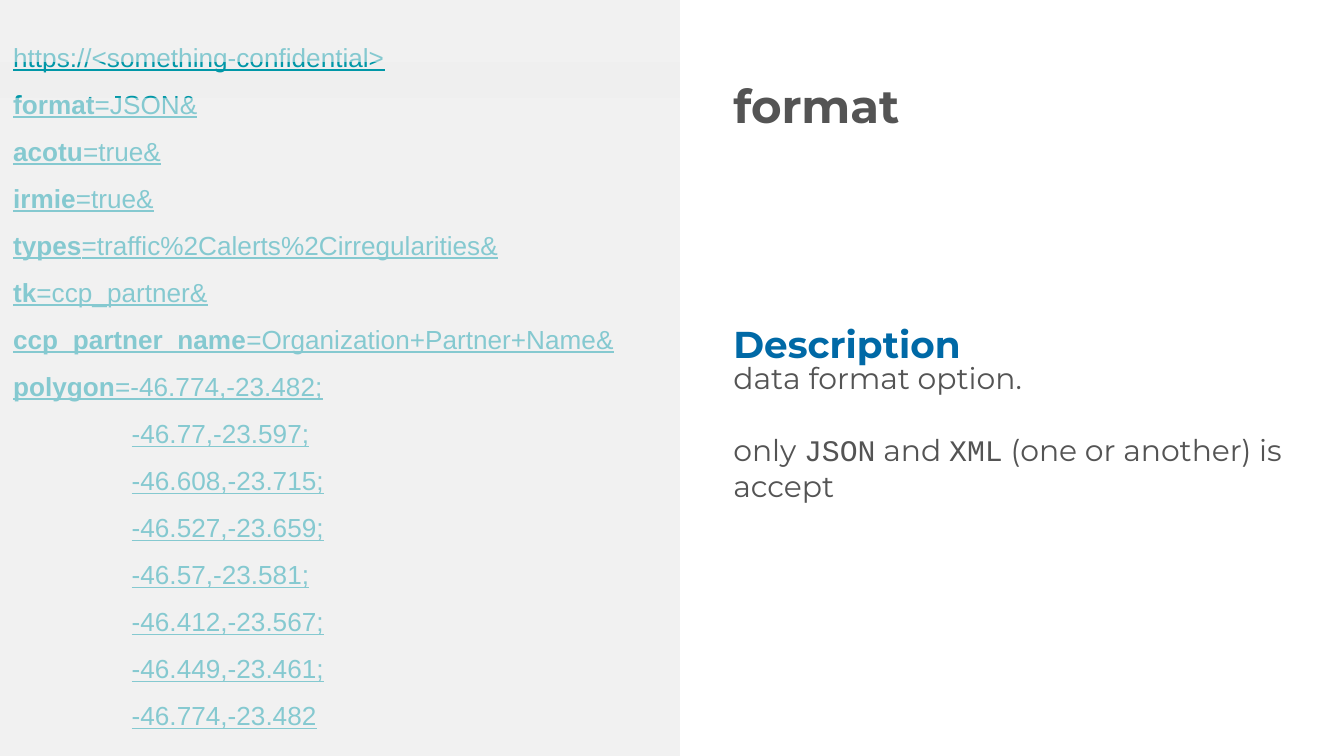
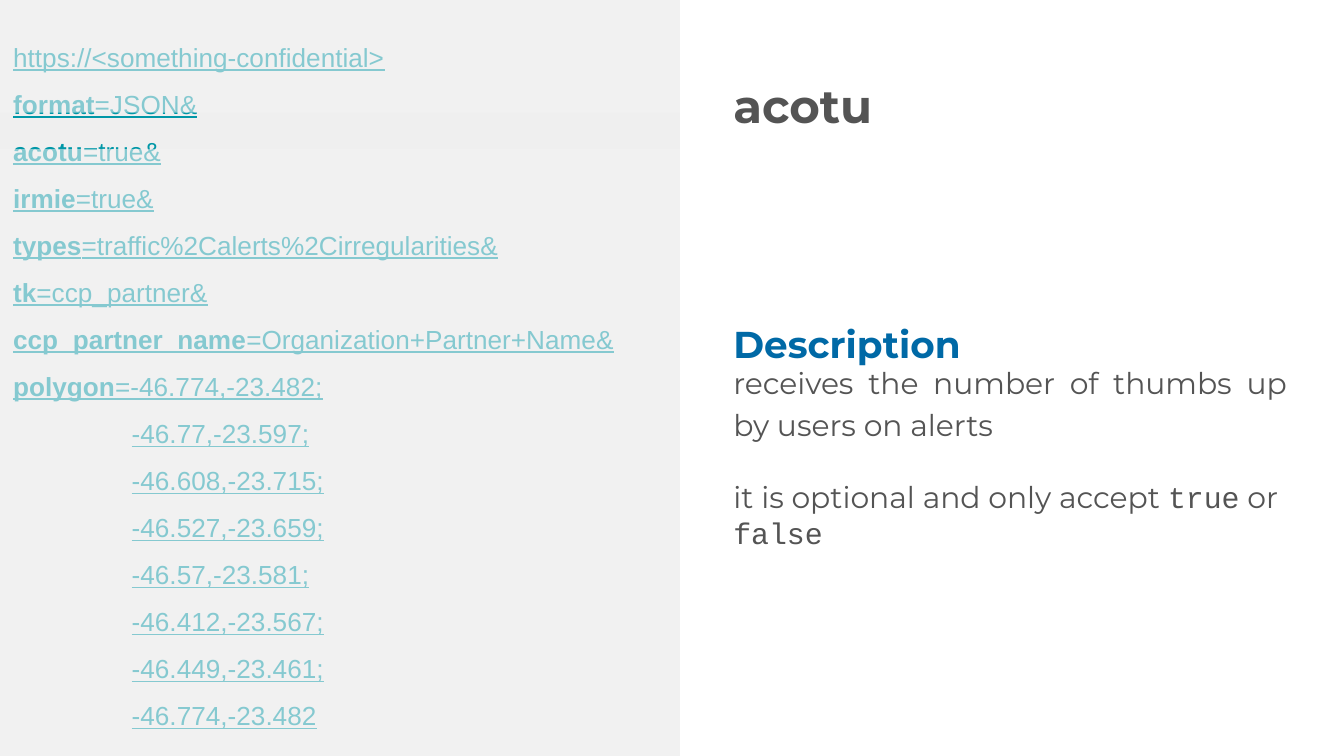
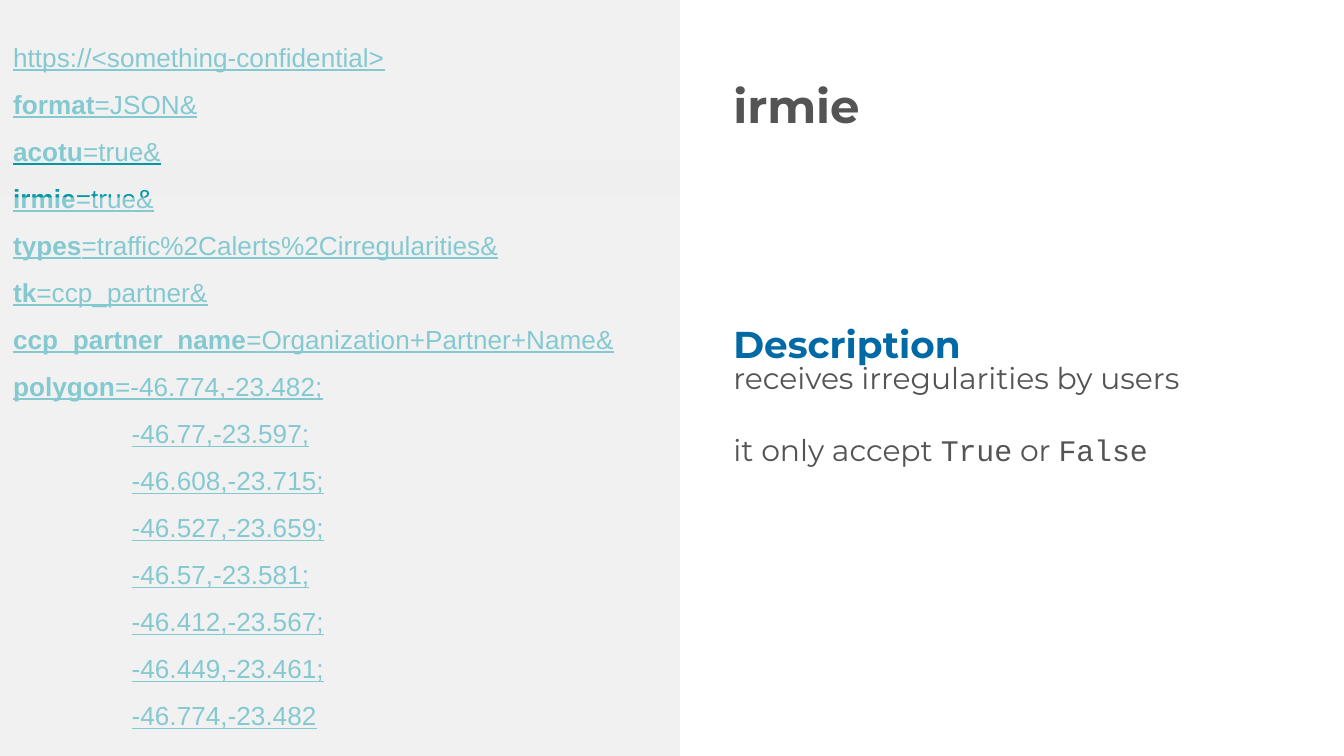
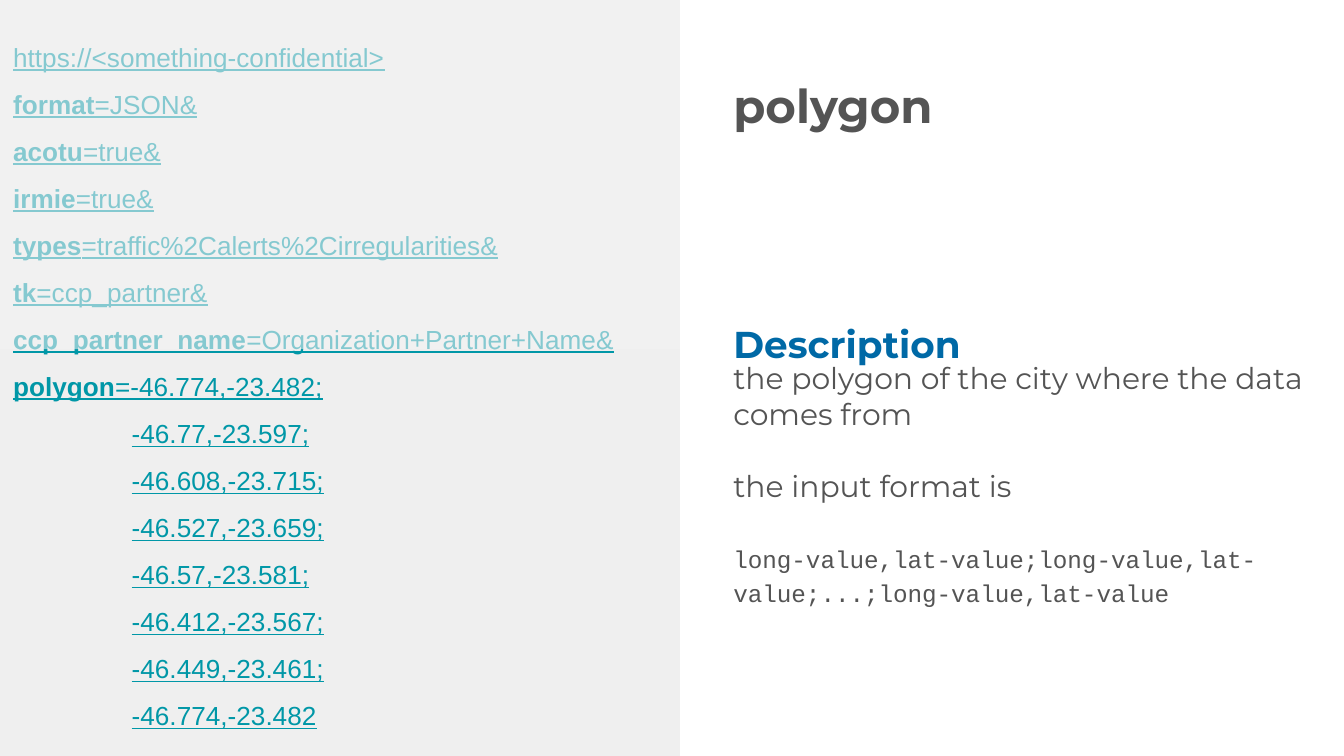
from dataclasses import dataclass

from lxml import etree
from pptx import Presentation
from pptx import util as u
from pptx.dml.color import RGBColor
from pptx.enum import shapes, text
from pptx.oxml import ns

PANEL_GREY = RGBColor(0xEF, 0xEF, 0xEF)
VEIL_GREY = RGBColor(0xF3, 0xF3, 0xF3)
LINK_TEAL = RGBColor(0x00, 0x97, 0xA7)
TEXT_GREY = RGBColor(0x54, 0x54, 0x54)
HEADING_BLUE = RGBColor(0x00, 0x69, 0xA6)

PROSE_FONT = "Montserrat"
CODE_FONT = "Courier New"
LINK_FONT = "Arial"

SLIDE_WIDTH, SLIDE_HEIGHT = 25.4, 14.29
PANEL_WIDTH = 12.85
COLUMN_LEFT = 13.61
INSET = u.Cm(0.25)
COORDINATE_INDENT = u.Cm(2.24)
VEIL_OPACITY = 55
BLANK_LINE = u.Pt(19.5)

URL = "https://<something-confidential>"
PARAMETERS = [
    ("format", "JSON&"),
    ("acotu", "true&"),
    ("irmie", "true&"),
    ("types", "traffic%2Calerts%2Cirregularities&"),
    ("tk", "ccp_partner&"),
    ("ccp_partner_name", "Organization+Partner+Name&"),
    ("polygon", "-46.774,-23.482;"),
]
COORDINATES = [
    "-46.77,-23.597;", "-46.608,-23.715;", "-46.527,-23.659;", "-46.57,-23.581;",
    "-46.412,-23.567;", "-46.449,-23.461;", "-46.774,-23.482",
]


@dataclass
class Remark:
    """A description paragraph; its pieces alternate between prose and code."""
    pieces: tuple
    size: float = 16
    line_spacing: float = 1.0
    justified: bool = False


@dataclass
class Topic:
    """A parameter, the vertical span left unveiled in the request, and its remarks."""
    name: str
    span: tuple
    remarks: list
    body_width: float = 10.97


TOPICS = [
    Topic("format", (1.17, 1.85), [
        Remark(("data format option.",)),
        Remark(("only ", "JSON", " and ", "XML", " (one or another) is accept")),
    ]),
    Topic("acotu", (2.13, 2.82), [
        Remark(("receives the number of thumbs up by users on alerts",),
               line_spacing=1.15, justified=True),
        Remark(("it is optional and only accept ", "true", " or ", "false")),
    ]),
    Topic("irmie", (3.05, 3.73), [
        Remark(("receives irregularities by users",)),
        Remark(("it only accept ", "True", " or ", "False")),
    ]),
    Topic("polygon", (6.6, SLIDE_HEIGHT), [
        Remark(("the polygon of the city where the data comes from",)),
        Remark(("the input format is",)),
        Remark(("", "long-value,lat-value;long-value,lat-value;...;long-value,lat-value"),
               size=13, line_spacing=1.15),
    ], body_width=11.35),
]


def style_font(font, name, size, color, bold=False):
    font.name, font.size, font.bold = name, u.Pt(size), bold
    font.color.rgb = color


def add_run(paragraph, words, bold=None, font_name=None):
    run = paragraph.add_run()
    run.text = words
    if bold is not None:
        run.font.bold = bold
    if font_name:
        run.font.name = font_name


def place(shape, left, top, width, height):
    shape.left, shape.top = u.Cm(left), u.Cm(top)
    shape.width, shape.height = u.Cm(width), u.Cm(height)


def prepare_frame(shape, anchor=text.MSO_ANCHOR.TOP):
    frame = shape.text_frame
    frame.word_wrap = True
    frame.auto_size = text.MSO_AUTO_SIZE.NONE
    frame.vertical_anchor = anchor
    frame.margin_left = frame.margin_right = INSET
    frame.margin_top = frame.margin_bottom = INSET
    return frame


def next_paragraph(frame):
    """Return the first paragraph while it is still empty, else a new one."""
    first = frame.paragraphs[0]
    return frame.add_paragraph() if first.runs else first


def set_indent(paragraph, left):
    properties = paragraph._p.get_or_add_pPr()
    properties.set("marL", str(int(left)))
    properties.set("indent", "0")
    return properties


def add_rectangle(slide, top, height, color):
    shape = slide.shapes.add_shape(
        shapes.MSO_SHAPE.RECTANGLE, 0, u.Cm(top), u.Cm(PANEL_WIDTH), u.Cm(height))
    shape.shadow.inherit = False
    shape.fill.solid()
    shape.fill.fore_color.rgb = color
    shape.line.fill.background()
    return shape


def add_request_line(frame):
    paragraph = next_paragraph(frame)
    paragraph.alignment = text.PP_ALIGN.JUSTIFY
    paragraph.line_spacing = 1.5
    style_font(paragraph.font, LINK_FONT, 14, LINK_TEAL)
    paragraph.font.underline = True
    return paragraph


def add_request_panel(slide):
    panel = add_rectangle(slide, 0, SLIDE_HEIGHT, PANEL_GREY)
    frame = prepare_frame(panel, text.MSO_ANCHOR.MIDDLE)
    add_run(add_request_line(frame), URL)
    for name, value in PARAMETERS:
        paragraph = add_request_line(frame)
        add_run(paragraph, name, bold=True)
        add_run(paragraph, "=" + value)
    for coordinate in COORDINATES:
        paragraph = add_request_line(frame)
        set_indent(paragraph, COORDINATE_INDENT)
        add_run(paragraph, coordinate)


def add_veil(slide, top, bottom):
    """Fade the part of the request panel between top and bottom."""
    if bottom <= top:
        return
    veil = add_rectangle(slide, top, bottom - top, VEIL_GREY)
    color = veil._element.spPr.find(".//" + ns.qn("a:srgbClr"))
    etree.SubElement(color, ns.qn("a:alpha")).set("val", str(VEIL_OPACITY * 1000))


def fill_title(slide, name):
    title = slide.shapes.title
    place(title, COLUMN_LEFT, 0.81, 11.79, 2.34)
    paragraph = prepare_frame(title, text.MSO_ANCHOR.MIDDLE).paragraphs[0]
    paragraph.alignment = text.PP_ALIGN.LEFT
    style_font(paragraph.font, PROSE_FONT, 25, TEXT_GREY, bold=True)
    add_run(paragraph, name)


def add_heading(slide, words):
    box = slide.shapes.add_textbox(u.Cm(COLUMN_LEFT), u.Cm(5.82), u.Cm(5.77), u.Cm(1.27))
    paragraph = prepare_frame(box).paragraphs[0]
    style_font(paragraph.font, PROSE_FONT, 20, HEADING_BLUE, bold=True)
    add_run(paragraph, words)


def fill_description(slide, remarks, width):
    body = slide.placeholders[1]
    place(body, COLUMN_LEFT, 6.55, width, 6.65)
    frame = prepare_frame(body)
    for index, remark in enumerate(remarks):
        paragraph = next_paragraph(frame)
        properties = set_indent(paragraph, 0)
        etree.SubElement(properties, ns.qn("a:buNone"))
        paragraph.alignment = (
            text.PP_ALIGN.JUSTIFY if remark.justified else text.PP_ALIGN.LEFT)
        paragraph.line_spacing = remark.line_spacing
        paragraph.space_before = BLANK_LINE if index else u.Pt(0)
        style_font(paragraph.font, PROSE_FONT, remark.size, TEXT_GREY)
        for position, words in enumerate(remark.pieces):
            if words:
                add_run(paragraph, words, font_name=CODE_FONT if position % 2 else None)


def add_topic_slide(presentation, topic):
    slide = presentation.slides.add_slide(presentation.slide_layouts[1])
    add_request_panel(slide)
    fill_title(slide, topic.name)
    add_heading(slide, "Description")
    fill_description(slide, topic.remarks, topic.body_width)
    span_top, span_bottom = topic.span
    add_veil(slide, span_bottom, SLIDE_HEIGHT)
    add_veil(slide, 0, span_top)


def main():
    presentation = Presentation()
    presentation.slide_width = u.Cm(SLIDE_WIDTH)
    presentation.slide_height = u.Cm(SLIDE_HEIGHT)
    for topic in TOPICS:
        add_topic_slide(presentation, topic)
    presentation.save("out.pptx")


if __name__ == "__main__":
    main()
